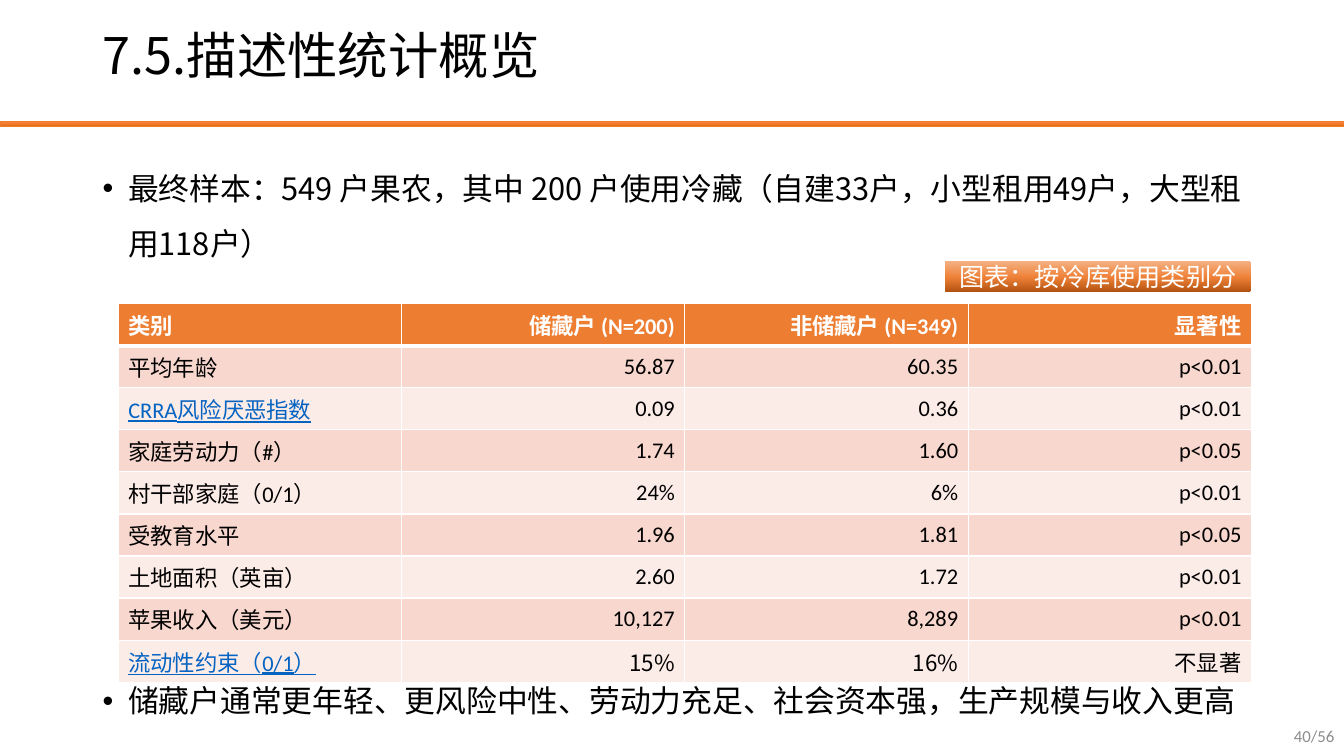
from lxml.etree import SubElement
from pptx import Presentation
from pptx.dml.color import RGBColor
from pptx.enum.shapes import MSO_SHAPE
from pptx.enum.text import MSO_ANCHOR, PP_ALIGN
from pptx.oxml.ns import qn
from pptx.util import Cm, Pt

COLORS = {
    "text": "000000",
    "white": "FFFFFF",
    "orange": "ED7D31",
    "link": "0563C1",
    "gray": "8C8C8C",
    "band_dark": "F8D7CE",
    "band_light": "FCECE8",
}
RULE_STOPS = [(0, "F18C57"), (50, "F67B28"), (100, "E56C19")]
LABEL_STOPS = [(0, "B0500F"), (48, "EE8137"), (100, "F4B183")]
CJK_FONT = "Noto Sans CJK SC"
LATIN_FONT = "Calibri"

ROWS = [
    ("类别", "储藏户 (N=200)", "非储藏户 (N=349)", "显著性"),
    ("平均年龄", "56.87", "60.35", "p<0.01"),
    ("CRRA风险厌恶指数", "0.09", "0.36", "p<0.01"),
    ("家庭劳动力（#）", "1.74", "1.60", "p<0.05"),
    ("村干部家庭（0/1）", "24%", "6%", "p<0.01"),
    ("受教育水平", "1.96", "1.81", "p<0.05"),
    ("土地面积（英亩）", "2.60", "1.72", "p<0.01"),
    ("苹果收入（美元）", "10,127", "8,289", "p<0.01"),
    ("流动性约束（0/1）", "15%", "16%", "不显著"),
]
LINKED_LABELS = {"CRRA风险厌恶指数", "流动性约束（0/1）"}


def rgb(name):
    return RGBColor.from_string(COLORS[name])


def write_text(frame, text, size=16, font=LATIN_FONT, color="text", bold=False,
               underline=False, align=PP_ALIGN.LEFT, anchor=MSO_ANCHOR.MIDDLE,
               line_spacing=1.0, bullet=False):
    frame.word_wrap = True
    frame.vertical_anchor = anchor
    paragraph = frame.paragraphs[0]
    paragraph.alignment = align
    paragraph.line_spacing = line_spacing
    if bullet:
        properties = paragraph._p.get_or_add_pPr()
        properties.set("marL", str(Cm(0.64)))
        properties.set("indent", str(-Cm(0.64)))
        SubElement(properties, qn("a:buFont"), typeface="Arial")
        SubElement(properties, qn("a:buChar"), char="•")
    run = paragraph.add_run()
    run.text = text
    run.font.size = Pt(size)
    run.font.name = font
    run.font.bold = bold
    run.font.underline = underline
    run.font.color.rgb = rgb(color)
    SubElement(run._r.get_or_add_rPr(), qn("a:ea"), typeface=CJK_FONT)


def add_text(slide, left, top, width, height, text, **text_format):
    box = slide.shapes.add_textbox(Cm(left), Cm(top), Cm(width), Cm(height))
    write_text(box.text_frame, text, **text_format)


def add_gradient_shape(slide, kind, left, top, width, height, stops, angle):
    shape = slide.shapes.add_shape(kind, Cm(left), Cm(top), Cm(width), Cm(height))
    shape.shadow.inherit = False
    shape.line.fill.background()
    shape.fill.gradient()
    gradient = shape._element.spPr.find(qn("a:gradFill"))
    stop_list = gradient.find(qn("a:gsLst"))
    for stop in list(stop_list):
        stop_list.remove(stop)
    for position, color in stops:
        stop = SubElement(stop_list, qn("a:gs"), pos=str(position * 1000))
        SubElement(stop, qn("a:srgbClr"), val=color)
    gradient.find(qn("a:lin")).set("ang", str(angle * 60000))
    return shape


def set_borders(cell, top, bottom):
    properties = cell._tc.get_or_add_tcPr()
    for side, width in (("L", 1), ("R", 1), ("T", top), ("B", bottom)):
        line = SubElement(properties, qn(f"a:ln{side}"), w=str(Pt(width)))
        fill = SubElement(line, qn("a:solidFill"))
        SubElement(fill, qn("a:srgbClr"), val=COLORS["white"])


def fill_cell(cell, row, column, text):
    header = row == 0
    linked = text in LINKED_LABELS
    set_borders(cell, 3 if row == 1 else 1, 3 if header else 1)
    band = "band_dark" if row % 2 else "band_light"
    cell.fill.solid()
    cell.fill.fore_color.rgb = rgb("orange" if header else band)
    cell.vertical_anchor = MSO_ANCHOR.MIDDLE
    last_values = row == len(ROWS) - 1 and column > 0
    write_text(
        cell.text_frame, text,
        font=CJK_FONT if last_values else LATIN_FONT,
        color="white" if header else "link" if linked else "text",
        bold=header, underline=linked,
        align=PP_ALIGN.RIGHT if column else PP_ALIGN.LEFT,
    )


def add_statistics_table(slide, left, top, column_width, row_height):
    row_count, column_count = len(ROWS), len(ROWS[0])
    frame = slide.shapes.add_table(
        row_count, column_count, Cm(left), Cm(top),
        Cm(column_width * column_count), Cm(row_height * row_count))
    for row, values in enumerate(ROWS):
        frame.table.rows[row].height = Cm(row_height)
        for column, text in enumerate(values):
            fill_cell(frame.table.cell(row, column), row, column, text)


def main():
    presentation = Presentation()
    presentation.slide_width = Cm(33.87)
    presentation.slide_height = Cm(19.05)
    slide = presentation.slides.add_slide(presentation.slide_layouts[6])

    add_text(slide, 26.26, 18.03, 7.62, 1.02, "40/56", size=12, color="gray",
             align=PP_ALIGN.RIGHT)
    rule = add_gradient_shape(slide, MSO_SHAPE.RECTANGLE, 0, 3.05, 33.87, 0.13,
                              RULE_STOPS, 90)
    rule.line.color.rgb = rgb("orange")
    rule.line.width = Pt(0.5)

    add_text(slide, 2.34, -0.38, 29.21, 3.68, "7.5.描述性统计概览", size=36,
             font=CJK_FONT, line_spacing=0.9)
    bullets = [
        (3.68, 3.0, "最终样本：549 户果农，其中 200 户使用冷藏"
                    "（自建33户，小型租用49户，大型租用118户）"),
        (16.6, 1.7, "储藏户通常更年轻、更风险中性、劳动力充足、"
                    "社会资本强，生产规模与收入更高"),
    ]
    for top, height, text in bullets:
        add_text(slide, 2.34, top, 29.21, height, text, size=22, font=CJK_FONT,
                 anchor=MSO_ANCHOR.TOP, line_spacing=1.5, bullet=True)

    add_statistics_table(slide, 2.98, 7.65, 7.14, 1.06)
    label = add_gradient_shape(slide, MSO_SHAPE.ROUNDED_RECTANGLE,
                               23.81, 6.58, 7.72, 0.79, LABEL_STOPS, 270)
    label.adjustments[0] = 0.08
    write_text(label.text_frame, "图表：按冷库使用类别分", size=18, color="white",
               align=PP_ALIGN.CENTER)
    presentation.save("out.pptx")


if __name__ == "__main__":
    main()
